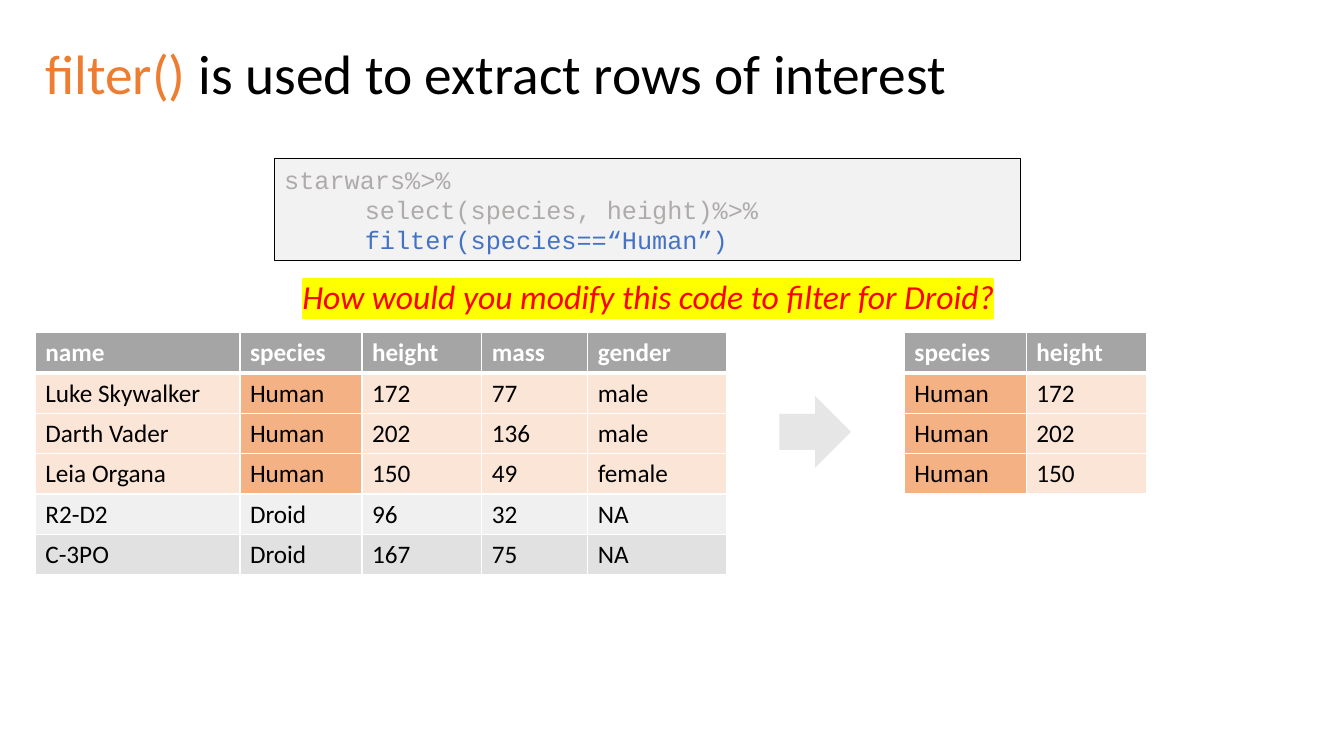
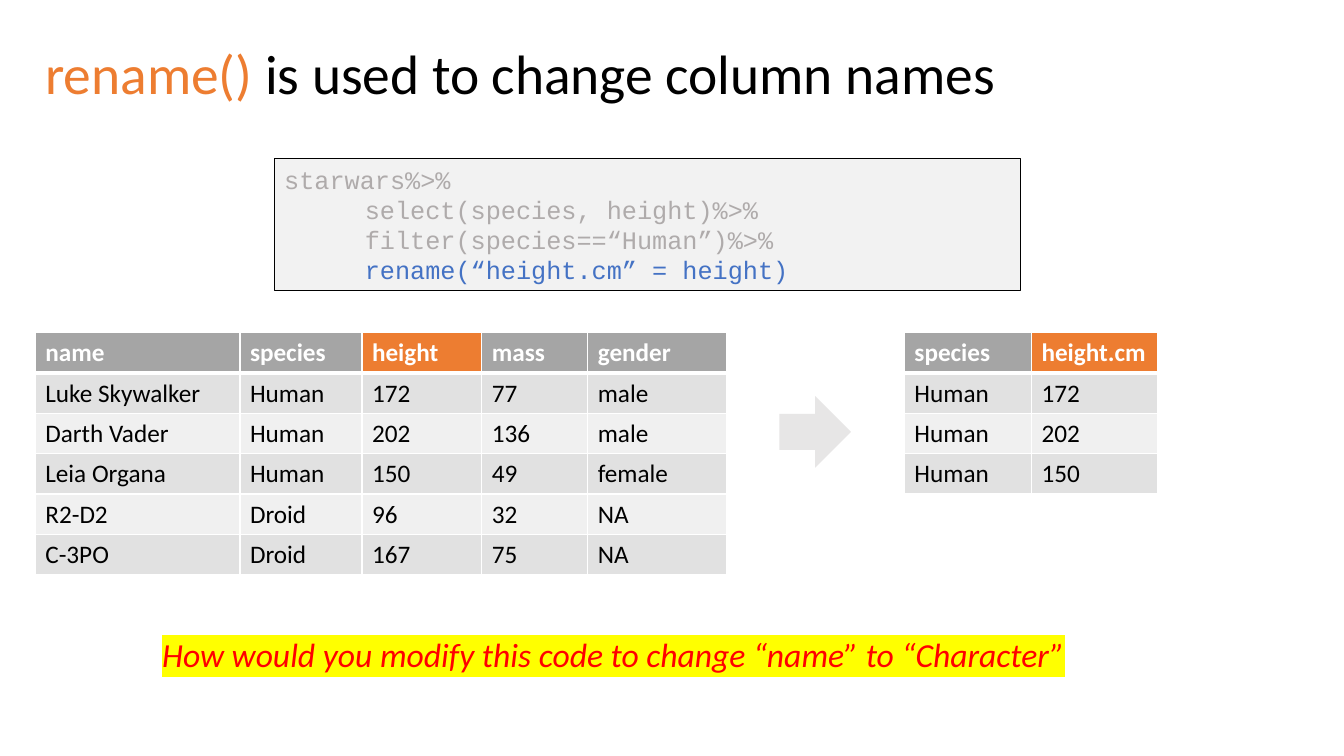
from lxml import etree
from pptx import Presentation
from pptx import util as u
from pptx.dml import color
from pptx.enum import shapes, text
from pptx.oxml import ns

ORANGE, GRAY, CODE, BLUE = "ED7D31", "A5A5A5", "AFABAB", "4472C4"
BANDS = "E1E1E1", "F0F0F0"
WIDTHS = 2.03, 1.21, 1.19, 1.05, 1.38
HEAD = ["name", "species", "height", "mass", "gender"]
CAST = [
    ["Luke Skywalker", "Human", "172", "77", "male"],
    ["Darth Vader", "Human", "202", "136", "male"],
    ["Leia Organa", "Human", "150", "49", "female"],
    ["R2-D2", "Droid", "96", "32", "NA"],
    ["C-3PO", "Droid", "167", "75", "NA"],
]
HUMANS = [row[1:3] for row in CAST if row[1] == "Human"]


def rgb(tone):
    return color.RGBColor.from_string(tone)


def write(par, words, size=18, font="Calibri", tone="000000", bold=False, slant=False, mark=None):
    run = par.add_run()
    run.text = words
    face = run.font
    face.size, face.name, face.bold, face.italic = u.Pt(size), font, bold, slant
    face.color.rgb = rgb(tone)
    if mark:
        light = etree.Element(ns.qn("a:highlight"))
        etree.SubElement(light, ns.qn("a:srgbClr"), val=mark)
        run._r.get_or_add_rPr().find(ns.qn("a:solidFill")).addnext(light)


def edge(cell, top, base):
    props = cell._tc.get_or_add_tcPr()
    for spot, (side, width) in enumerate([("L", 1), ("R", 1), ("T", top), ("B", base)]):
        line = etree.Element(ns.qn(f"a:ln{side}"), w=str(u.Pt(width)))
        fill = etree.SubElement(line, ns.qn("a:solidFill"))
        etree.SubElement(fill, ns.qn("a:srgbClr"), val="FFFFFF")
        props.insert(spot, line)


class Deck:
    """Holds the shared style and the current slide."""

    def __init__(self):
        self.show = Presentation()
        self.show.slide_width = u.Inches(13.33)
        self.show.slide_height = u.Inches(7.5)
        self.slide = None

    def box(self, x, y, w, h):
        return self.slide.shapes.add_textbox(*map(u.Inches, (x, y, w, h))).text_frame

    def shape(self, kind, x, y, w, h, fill, line=None):
        item = self.slide.shapes.add_shape(kind, *map(u.Inches, (x, y, w, h)))
        item.shadow.inherit = False
        item.fill.solid()
        item.fill.fore_color.rgb = rgb(fill)
        if line:
            item.line.color.rgb = rgb(line)
            item.line.width = u.Pt(0.75)
        else:
            item.line.fill.background()
        return item

    def title(self, verb, rest):
        self.slide = self.show.slides.add_slide(self.show.slide_layouts[6])
        frame = self.box(0.35, 0.4, 11.42, 0.71)
        frame.word_wrap = True
        frame.vertical_anchor = text.MSO_ANCHOR.MIDDLE
        par = frame.paragraphs[0]
        par.line_spacing = 0.9
        write(par, verb + " ", size=39.6, tone=ORANGE)
        write(par, rest, size=39.6)

    def code(self, lines):
        rect = self.shape(shapes.MSO_SHAPE.RECTANGLE, 2.72, 1.57, 7.4,
                          0.11 + 0.3 * len(lines), "F2F2F2", "000000")
        frame = rect.text_frame
        for num, line in enumerate(lines):
            par = frame.add_paragraph() if num else frame.paragraphs[0]
            par.alignment = text.PP_ALIGN.LEFT
            tone = BLUE if num == len(lines) - 1 else CODE
            write(par, line, font="Courier New", tone=tone)

    def table(self, x, widths, head, rows, tint):
        size = len(rows) + 1, len(head)
        place = x, 3.3, sum(widths), 0.4 * size[0]
        grid = self.slide.shapes.add_table(*size, *map(u.Inches, place)).table
        grid.first_row = grid.horz_banding = False
        for col, width in zip(grid.columns, widths):
            col.width = u.Inches(width)
        for r, row in enumerate([head, *rows]):
            for c, words in enumerate(row):
                cell = grid.cell(r, c)
                cell.fill.solid()
                cell.fill.fore_color.rgb = rgb(tint(r, row, head[c]))
                edge(cell, 3 if r == 1 else 1, 1 if r else 3)
                write(cell.text_frame.paragraphs[0], words,
                      tone="000000" if r else "FFFFFF", bold=not r)

    def arrow(self):
        self.shape(shapes.MSO_SHAPE.RIGHT_ARROW, 7.73, 3.93, 0.71, 0.71, "E7E6E6")

    def ask(self, words, x, y, w):
        frame = self.box(x, y, w, 0.5)
        frame.word_wrap = False
        write(frame.paragraphs[0], words, size=24, tone="FF0000", slant=True, mark="FFFF00")


def band(r):
    return BANDS[(r - 1) % 2] if r else GRAY


def by_row(r, row, name):
    if "Human" not in row:
        return band(r)
    return "F4B183" if name == "species" else "FBE5D6"


def by_name(r, row, name):
    return ORANGE if not r and name.startswith("height") else band(r)


def main():
    deck = Deck()
    start = ["starwars%>%", "\t  select(species, height)%>%"]
    pick = "\t  filter(species==“Human”)"
    pages = [
        ("filter()", "is used to extract rows of interest", [pick],
         by_row, "height", (1.21, 1.19),
         ("How would you modify this code to filter for Droid?", 2.9, 2.69, 7.27)),
        ("rename()", "is used to change column names",
         [pick + "%>%", "\t  rename(“height.cm” = height)"],
         by_name, "height.cm", (1.26, 1.25),
         ("How would you modify this code to change “name” to “Character”", 1.51, 6.24, 9.36)),
    ]
    for verb, rest, steps, tint, label, widths, quiz in pages:
        deck.title(verb, rest)
        deck.code(start + steps)
        deck.table(0.35, WIDTHS, HEAD, CAST, tint)
        deck.table(8.97, widths, ["species", label], HUMANS, tint)
        deck.arrow()
        deck.ask(*quiz)
    deck.show.save("out.pptx")


if __name__ == "__main__":
    main()
